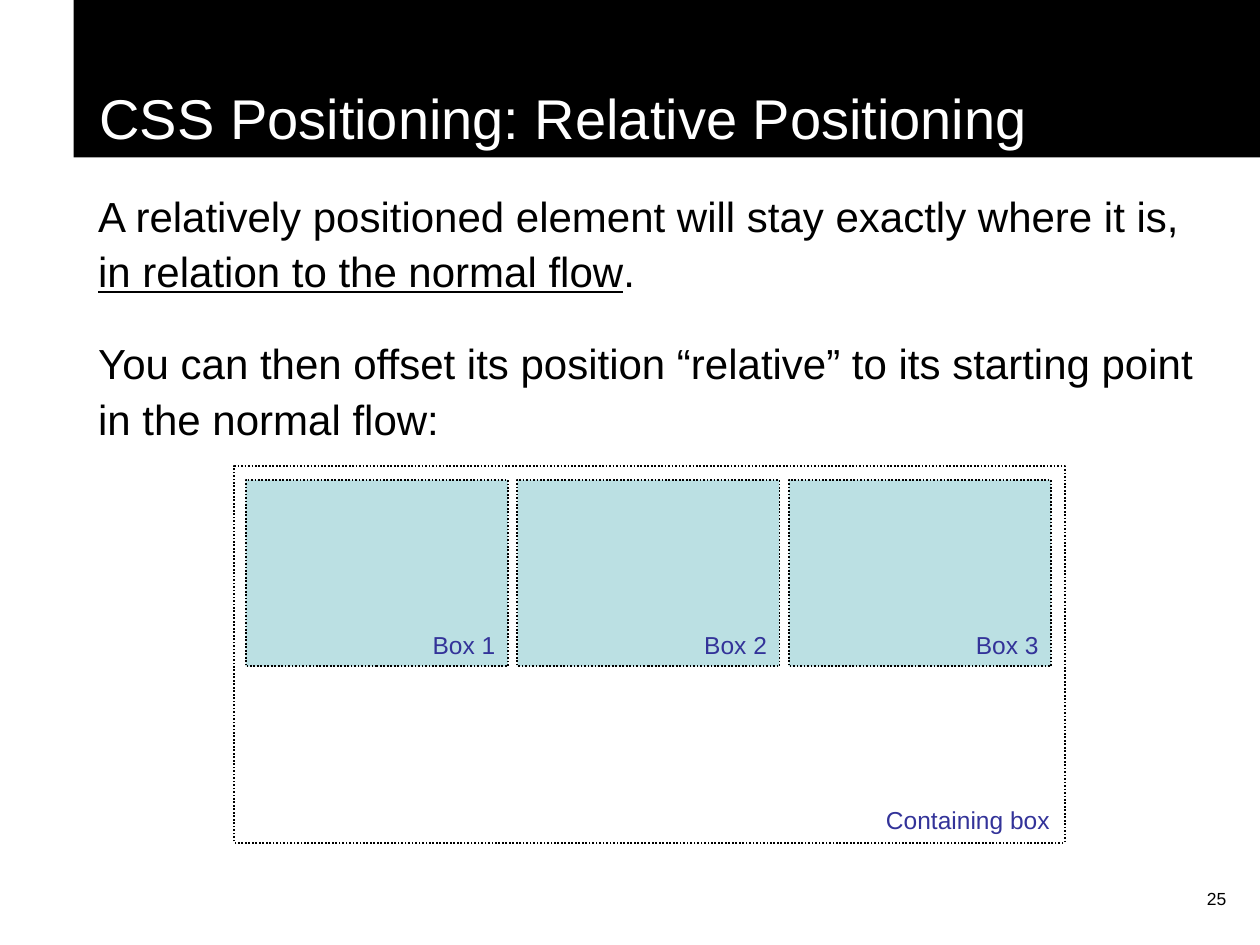
from pptx import Presentation
from pptx.dml.color import RGBColor
from pptx.enum.dml import MSO_LINE
from pptx.enum.shapes import MSO_SHAPE
from pptx.enum.text import MSO_ANCHOR, MSO_AUTO_SIZE, PP_ALIGN
from pptx.util import Pt

LEFT, RIGHT = PP_ALIGN.LEFT, PP_ALIGN.RIGHT
TOP, BOTTOM = MSO_ANCHOR.TOP, MSO_ANCHOR.BOTTOM
RECT, DOTTED, NO_FIT = MSO_SHAPE.RECTANGLE, MSO_LINE.ROUND_DOT, MSO_AUTO_SIZE.NONE

COLORS = {"black": "000000", "white": "FFFFFF", "box": "BBE0E3", "label": "333399"}
FONT = "Arial"

TITLE = "CSS Positioning: Relative Positioning"
# Each paragraph is a list of (text, underlined) runs.
BODY = [
    [("A relatively positioned element will stay exactly where it is, ", False),
     ("in relation to the normal flow", True), (".", False)],
    [("You can then offset its position “relative” to its starting point "
      "in the normal flow:", False)],
]
BOXES = ["Box 1", "Box 2", "Box 3"]
CONTAINER = "Containing box"
PAGE = "25"

# Lengths in points
CONTAINER_AT = (133.9, 266.4, 474.5, 215.3)
BOX_LEFT, BOX_TOP, BOX_W, BOX_H, BOX_PITCH = 140.4, 274.2, 149.8, 106.6, 155.2
LABEL_W, LABEL_H = 147.6, 24.5


def color(name):
    return RGBColor.from_string(COLORS[name])


def write(tf, paragraphs, size=14, ink="label", align=RIGHT, anchor=TOP,
          indent=0, before=0, after=0, spacing=1.0):
    """Fill a text frame; paragraphs is a string or lists of (text, underlined)."""
    if isinstance(paragraphs, str):
        paragraphs = [[(paragraphs, False)]]
    tf.word_wrap = True
    tf.auto_size = NO_FIT
    tf.vertical_anchor = anchor
    for i, runs in enumerate(paragraphs):
        p = tf.paragraphs[0] if i == 0 else tf.add_paragraph()
        p.alignment = align
        p.space_before, p.space_after = Pt(before), Pt(after)
        p.line_spacing = spacing
        pPr = p._p.get_or_add_pPr()
        pPr.set("marL", str(Pt(indent)))
        pPr.set("indent", "0")
        for text, underlined in runs:
            r = p.add_run()
            r.text = text
            r.font.name, r.font.size = FONT, Pt(size)
            r.font.underline = underlined
            r.font.color.rgb = color(ink)


def add_text(s, at, paragraphs, **fmt):
    write(s.shapes.add_textbox(*map(Pt, at)).text_frame, paragraphs, **fmt)


def add_dotted_box(s, at, fill=None):
    sp = s.shapes.add_shape(RECT, *map(Pt, at))
    sp.shadow.inherit = False
    if fill:
        sp.fill.solid()
        sp.fill.fore_color.rgb = color(fill)
    else:
        sp.fill.background()
    sp.line.color.rgb = color("black")
    sp.line.width = Pt(1)
    sp.line.dash_style = DOTTED


def main():
    prs = Presentation()
    prs.slide_width, prs.slide_height = Pt(720), Pt(540)
    s = prs.slides.add_slide(prs.slide_layouts[5])

    title = s.shapes.title
    title.left, title.top, title.width, title.height = map(Pt, (42, 0, 678, 90))
    title.fill.solid()
    title.fill.fore_color.rgb = color("black")
    write(title.text_frame, TITLE, size=32, ink="white", align=LEFT,
          anchor=BOTTOM, indent=7.6)

    add_text(s, (42, 102.2, 653.8, 159.8), BODY, size=24, ink="black", align=LEFT,
             indent=7, before=15, after=6, spacing=1.1)

    add_dotted_box(s, CONTAINER_AT)
    for i, name in enumerate(BOXES):
        x = BOX_LEFT + i * BOX_PITCH
        add_dotted_box(s, (x, BOX_TOP, BOX_W, BOX_H), fill="box")
        add_text(s, (x + BOX_W - LABEL_W, BOX_TOP + BOX_H - LABEL_H, LABEL_W, LABEL_H),
                 name, before=8.8)

    left, top, width, height = CONTAINER_AT
    add_text(s, (left + width - LABEL_W - 1.4, top + height - LABEL_H - 0.7,
                 LABEL_W, LABEL_H), CONTAINER, before=8.8)
    add_text(s, (558, 504, 149.8, 36), PAGE, size=10, ink="black")

    prs.save("out.pptx")


if __name__ == "__main__":
    main()
